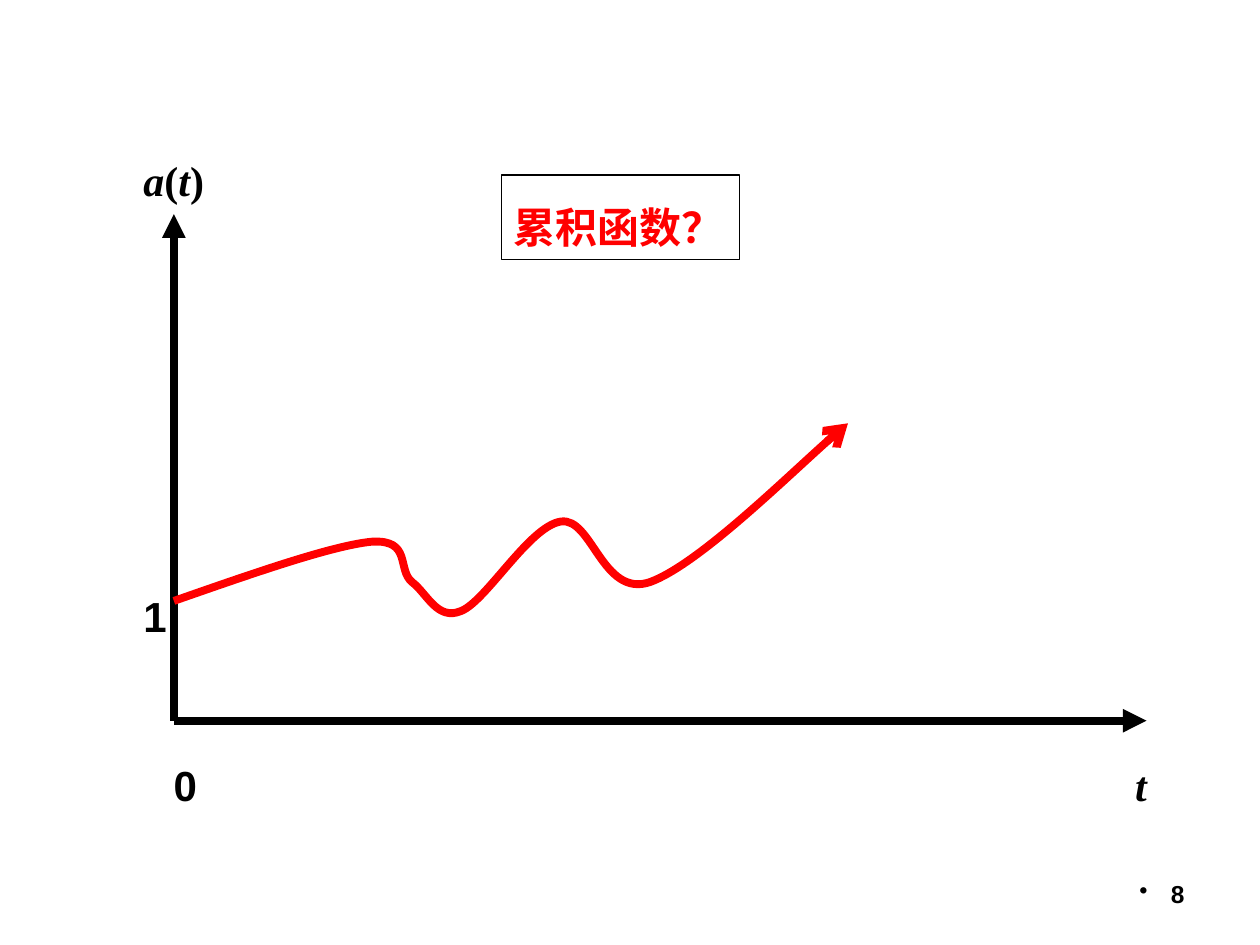
from lxml.etree import SubElement
from pptx import Presentation
from pptx.dml.color import RGBColor
from pptx.enum.shapes import MSO_CONNECTOR, MSO_SHAPE
from pptx.enum.text import MSO_ANCHOR, PP_ALIGN
from pptx.oxml.ns import qn
from pptx.util import Inches, Pt

COLORS = {"ink": "000000", "accent": "FF0000"}
SANS, SERIF, CJK = "Arial", "Times New Roman", "Noto Sans CJK SC"


def write(tf, text, size=24, font=SANS, color="ink", italic="", spacing=1.4,
          align=PP_ALIGN.LEFT, anchor=MSO_ANCHOR.TOP, wrap=False, bullet=False):
    tf.word_wrap, tf.vertical_anchor = wrap, anchor
    p = tf.paragraphs[0]
    p.alignment, p.line_spacing = align, spacing
    for part in (text if italic else [text]):
        r = p.add_run()
        r.text = part
        f = r.font
        f.name, f.size, f.bold = font, Pt(size), True
        f.italic = part in italic if italic else False
        f.color.rgb = RGBColor.from_string(COLORS[color])
        SubElement(r._r.get_or_add_rPr(), qn("a:ea"), typeface=font)
    if bullet:
        pPr = p._p.get_or_add_pPr()
        pPr.set("marL", str(Inches(0.25)))
        pPr.set("indent", str(-Inches(0.25)))
        SubElement(pPr, qn("a:buChar"), char="•")


class Board:
    """Holds the line style and the current slide, and draws each kind of element."""

    def __init__(self, s, weight=4.5):
        self.s, self.weight = s, weight

    def stroke(self, sp, color, weight, head=None):
        sp.line.color.rgb = RGBColor.from_string(COLORS[color])
        sp.line.width = Pt(weight)
        if head:
            SubElement(sp.line._get_or_add_ln(), qn("a:tailEnd"), type=head)

    def label(self, text, x, y, w, h=0.6, **fmt):
        sp = self.s.shapes.add_textbox(*map(Inches, (x, y, w, h)))
        write(sp.text_frame, text, **fmt)

    def box(self, text, x, y, w, h, **fmt):
        sp = self.s.shapes.add_shape(MSO_SHAPE.RECTANGLE, *map(Inches, (x, y, w, h)))
        sp.shadow.inherit = False
        sp.fill.background()
        self.stroke(sp, "ink", 0.75)
        write(sp.text_frame, text, **fmt)

    def axis(self, start, end):
        sp = self.s.shapes.add_connector(MSO_CONNECTOR.STRAIGHT, *map(Inches, start + end))
        self.stroke(sp, "ink", self.weight, "triangle")
        SubElement(sp._element.spPr, qn("a:effectLst"))

    def curve(self, points, color):
        start, *rest = [tuple(map(Inches, pt)) for pt in points]
        fb = self.s.shapes.build_freeform(*start)
        fb.add_line_segments(rest, close=False)
        sp = fb.convert_to_shape()
        path = next(sp._element.iter(qn("a:path")))
        lines = path.findall(qn("a:lnTo"))
        for i in range(0, len(lines), 3):
            bezier = SubElement(path, qn("a:cubicBezTo"))
            for line in lines[i:i + 3]:
                bezier.append(line[0])
                path.remove(line)
        sp.shadow.inherit = False
        sp.fill.background()
        self.stroke(sp, color, self.weight, "arrow")


def main():
    prs = Presentation()
    prs.slide_width, prs.slide_height = Inches(10), Inches(7.5)
    board = Board(prs.slides.add_slide(prs.slide_layouts[6]))
    board.label("8", 7.17, 6.83, 2.33, 0.52, size=14, spacing=1,
                align=PP_ALIGN.RIGHT, anchor=MSO_ANCHOR.MIDDLE, wrap=True, bullet=True)
    origin = (1.38, 5.72)
    board.axis(origin, (9.1, 5.72))
    board.axis(origin, (1.38, 1.7))
    board.curve([(1.38, 4.77),
                 (2.01, 4.55), (2.64, 4.33), (2.95, 4.3),
                 (3.27, 4.28), (3.15, 4.52), (3.27, 4.62),
                 (3.39, 4.71), (3.47, 4.93), (3.66, 4.85),
                 (3.86, 4.77), (4.2, 4.18), (4.45, 4.14),
                 (4.7, 4.1), (4.78, 4.75), (5.16, 4.62),
                 (5.54, 4.48), (6.47, 3.57), (6.73, 3.36)], "accent")
    board.label("1", 1.04, 4.48, 0.39)
    board.label("0", 1.28, 5.82, 0.39)
    board.label("t", 8.91, 5.82, 0.29, font=SERIF, italic="t")
    board.label("a(t)", 1.04, 1.02, 0.69, font=SERIF, italic="at")
    board.box("累积函数？", 3.98, 1.39, 1.89, 0.67, font=CJK, color="accent")
    prs.save("out.pptx")


if __name__ == "__main__":
    main()
